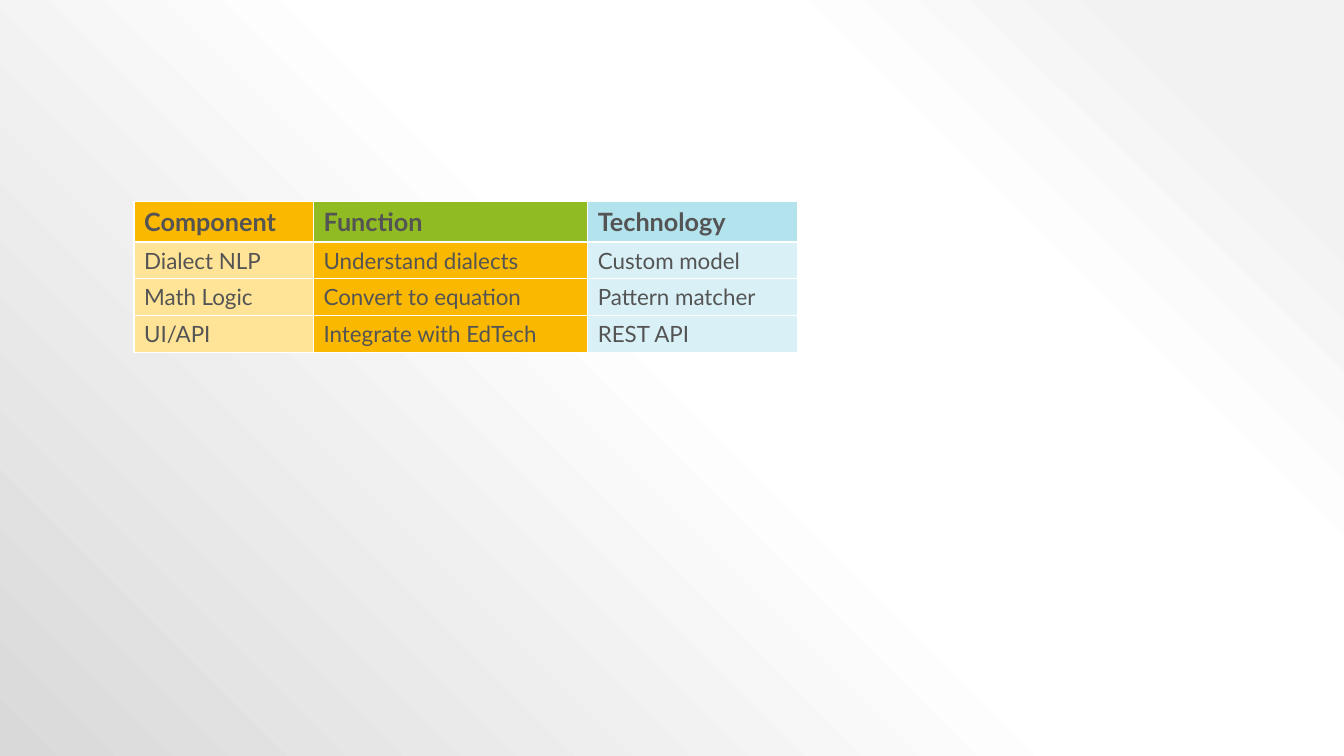
from dataclasses import dataclass

from pptx import Presentation
from pptx.dml.color import RGBColor
from pptx.enum.text import MSO_ANCHOR
from pptx.oxml import parse_xml
from pptx.oxml.ns import nsdecls
from pptx.slide import Slide
from pptx.table import _Cell as Cell
from pptx.util import Inches, Pt


@dataclass(frozen=True)
class Theme:
    font: str = "Lato"
    text: str = "545454"
    border: str = "FFFFFF"
    border_width: int = Pt(1)
    header_size: int = 18
    body_size: int = 16
    # Position in percent and colour, from the top right corner outwards
    background: tuple[tuple[int, str], ...] = (
        (10, "F2F2F2"), (28, "FFFFFF"), (48, "FFFFFF"), (100, "D9D9D9"))


@dataclass(frozen=True)
class Column:
    header: str
    entries: tuple[str, ...]
    width: float
    header_fill: str
    body_fill: str


THEME = Theme()
LEFT, TOP = 1.33, 2
HEADER_HEIGHT, ROW_HEIGHT = 0.4, 0.365
COLUMNS = (
    Column("Component", ("Dialect NLP", "Math Logic", "UI/API"),
           1.78, "FAB900", "FFE497"),
    Column("Function", ("Understand dialects", "Convert to equation", "Integrate with EdTech"),
           2.72, "90BB23", "FAB900"),
    Column("Technology", ("Custom model", "Pattern matcher", "REST API"),
           2.08, "B3E3ED", "D9F1F6"),
)


def set_background(slide: Slide) -> None:
    """Fill the background with a gradient centred on the top right corner."""
    stops = "".join(
        f'<a:gs pos="{position * 1000}"><a:srgbClr val="{color}"/></a:gs>'
        for position, color in THEME.background)
    background = parse_xml(
        f'<p:bg {nsdecls("p", "a")}><p:bgPr><a:gradFill rotWithShape="1">'
        f'<a:gsLst>{stops}</a:gsLst>'
        '<a:path path="circle"><a:fillToRect l="100000" b="100000"/></a:path>'
        '</a:gradFill><a:effectLst/></p:bgPr></p:bg>')
    slide.element.cSld.insert(0, background)


def add_borders(cell: Cell) -> None:
    properties = cell._tc.get_or_add_tcPr()
    for index, side in enumerate(("lnL", "lnR", "lnT", "lnB")):
        border = parse_xml(
            f'<a:{side} {nsdecls("a")} w="{THEME.border_width}"><a:solidFill>'
            f'<a:srgbClr val="{THEME.border}"/></a:solidFill></a:{side}>')
        properties.insert(index, border)


def fill_cell(cell: Cell, text: str, fill: str, size: int, bold: bool) -> None:
    cell.text_frame.text = text
    cell.vertical_anchor = MSO_ANCHOR.MIDDLE
    cell.fill.solid()
    cell.fill.fore_color.rgb = RGBColor.from_string(fill)
    font = cell.text_frame.paragraphs[0].runs[0].font
    font.name = THEME.font
    font.size = Pt(size)
    font.bold = bold
    font.color.rgb = RGBColor.from_string(THEME.text)
    add_borders(cell)


def add_component_table(slide: Slide) -> None:
    body_rows = len(COLUMNS[0].entries)
    width = sum(column.width for column in COLUMNS)
    height = HEADER_HEIGHT + body_rows * ROW_HEIGHT
    table = slide.shapes.add_table(
        body_rows + 1, len(COLUMNS),
        Inches(LEFT), Inches(TOP), Inches(width), Inches(height)).table
    table.horz_banding = False
    for index, row in enumerate(table.rows):
        row.height = Inches(ROW_HEIGHT if index else HEADER_HEIGHT)
    for index, column in enumerate(COLUMNS):
        table.columns[index].width = Inches(column.width)
        fill_cell(table.cell(0, index), column.header, column.header_fill,
                  THEME.header_size, True)
        for row_index, entry in enumerate(column.entries, start=1):
            fill_cell(table.cell(row_index, index), entry, column.body_fill,
                      THEME.body_size, False)


def main() -> None:
    presentation = Presentation()
    presentation.slide_width = Inches(13.33)
    presentation.slide_height = Inches(7.5)
    slide = presentation.slides.add_slide(presentation.slide_layouts[6])
    set_background(slide)
    add_component_table(slide)
    presentation.save("out.pptx")


if __name__ == "__main__":
    main()
